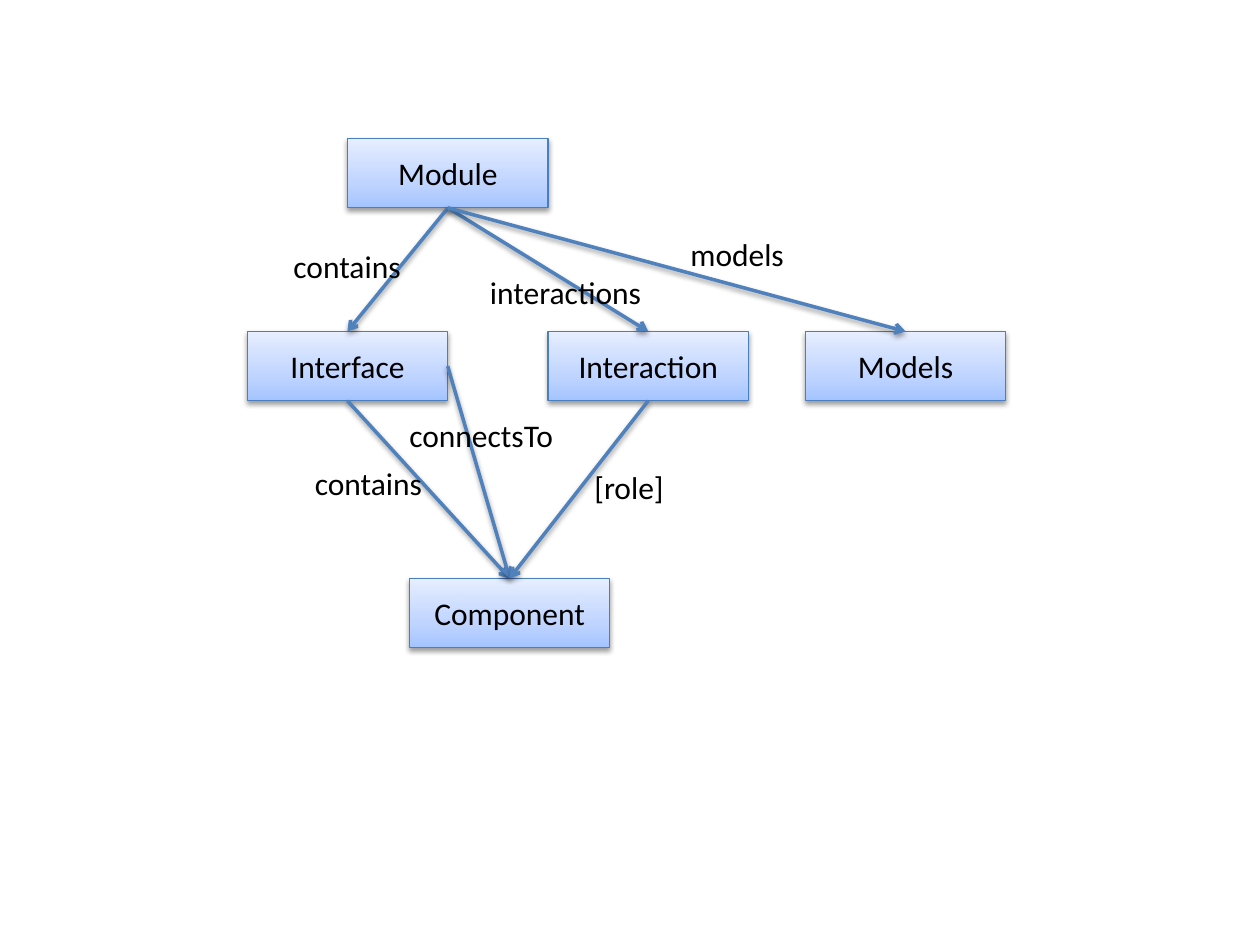
from pptx import Presentation
from pptx.dml.color import RGBColor as RGB
from pptx.enum.shapes import MSO_CONNECTOR as Connector, MSO_SHAPE as Shape
from pptx.enum.text import MSO_ANCHOR as Anchor, MSO_AUTO_SIZE as AutoSize, PP_ALIGN as Align
from pptx.oxml import parse_xml
from pptx.oxml.ns import nsdecls
from pptx.util import Pt

# Content: boxes by left edge and row, links by box and side, labels by place
ROW_TOPS = {"top": 79.2, "middle": 189.4, "bottom": 330.5}
BOXES = {
    "Module": (198.7, "top"),
    "Interface": (141.3, "middle"),
    "Interaction": (313.2, "middle"),
    "Models": (460.2, "middle"),
    "Component": (234, "bottom"),
}
TOP, BOTTOM, RIGHT = 0, 2, 3
LINKS = [
    ("Module", BOTTOM, "Interface"),
    ("Module", BOTTOM, "Interaction"),
    ("Module", BOTTOM, "Models"),
    ("Interface", BOTTOM, "Component"),
    ("Interface", RIGHT, "Component"),
    ("Interaction", BOTTOM, "Component"),
]
LABELS = [
    ("contains", 160.6, 137.5, 76.3),
    ("interactions", 272.9, 152.6, 101.5),
    ("models", 387.4, 131, 68.4),
    ("connectsTo", 226.8, 234, 97.2),
    ("contains", 172.8, 261.4, 76.3),
    ("[role]", 332.6, 264.2, 54.7),
]
BOX_SIZE = (114.5, 39.6)
LABEL_HEIGHT = 28.8

THEME = {
    "font": {"name": "Calibri", "size": Pt(18)},
    "text": "000000",
    "gradient": [(0, "A4C4FF"), (35, "BFD4FF"), (100, "E6EEFF")],
    "outline": ("4B7EBC", 0.75),
    "link": ("4F81BD", 2),
}


def write(shape, text, align):
    para = shape.text_frame.paragraphs[0]
    para.alignment = align
    span = para.add_run()
    span.text = text
    for name, value in THEME["font"].items():
        setattr(span.font, name, value)
    span.font.color.rgb = RGB.from_string(THEME["text"])


def set_line(shape, style):
    color, width = style
    shape.line.color.rgb = RGB.from_string(color)
    shape.line.width = Pt(width)


def add_shadow(shape):
    shape._element.spPr.append(parse_xml(
        f'<a:effectLst {nsdecls("a")}><a:outerShdw blurRad="{Pt(3.1)}" dist="{Pt(1.6)}" '
        'dir="5400000" rotWithShape="0"><a:srgbClr val="000000"><a:alpha val="38000"/>'
        '</a:srgbClr></a:outerShdw></a:effectLst>'))


def add_gradient(shape):
    stops = "".join(f'<a:gs pos="{pos * 1000}"><a:srgbClr val="{color}"/></a:gs>'
                    for pos, color in THEME["gradient"])
    shape._element.spPr.append(parse_xml(
        f'<a:gradFill {nsdecls("a")} rotWithShape="1"><a:gsLst>{stops}</a:gsLst>'
        '<a:lin ang="16200000" scaled="0"/></a:gradFill>'))


def add_box(page, text, left, row):
    place = map(Pt, (left, ROW_TOPS[row], *BOX_SIZE))
    box = page.shapes.add_shape(Shape.RECTANGLE, *place)
    add_gradient(box)
    set_line(box, THEME["outline"])
    add_shadow(box)
    box.text_frame.vertical_anchor = Anchor.MIDDLE
    write(box, text, Align.CENTER)
    return box


def add_link(page, source, side, target):
    link = page.shapes.add_connector(Connector.STRAIGHT, 0, 0, 0, 0)
    link.begin_connect(source, side)
    link.end_connect(target, TOP)
    set_line(link, THEME["link"])
    link.line._get_or_add_ln().append(
        parse_xml(f'<a:tailEnd {nsdecls("a")} type="arrow"/>'))
    add_shadow(link)


def add_label(page, text, left, top, width):
    label = page.shapes.add_textbox(*map(Pt, (left, top, width, LABEL_HEIGHT)))
    label.text_frame.word_wrap = False
    label.text_frame.auto_size = AutoSize.SHAPE_TO_FIT_TEXT
    write(label, text, Align.LEFT)


def main():
    deck = Presentation()
    deck.slide_width, deck.slide_height = Pt(720), Pt(540)
    page = deck.slides.add_slide(deck.slide_layouts[6])
    boxes = {text: add_box(page, text, *place) for text, place in BOXES.items()}
    for source, side, target in LINKS:
        add_link(page, boxes[source], side, boxes[target])
    for label in LABELS:
        add_label(page, *label)
    deck.save("out.pptx")


if __name__ == "__main__":
    main()
